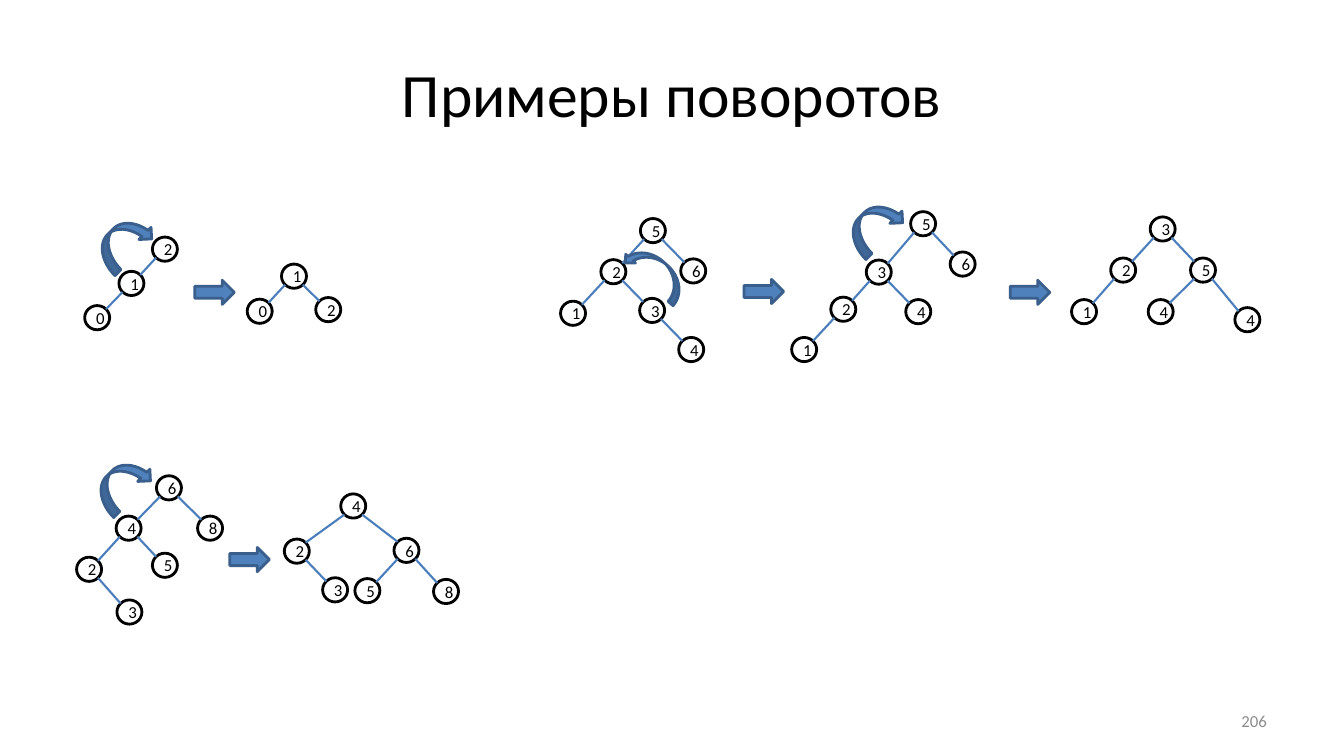
from pptx import Presentation
from pptx.dml.color import RGBColor
from pptx.enum.shapes import MSO_CONNECTOR as Link, MSO_SHAPE as Preset
from pptx.enum.text import MSO_ANCHOR as Anchor, PP_ALIGN as Align
from pptx.oxml import parse_xml
from pptx.oxml.ns import nsdecls
from pptx.util import Inches, Pt

CELL = 0.4
NODE_W, NODE_H = 0.62, 0.6
DIAGONAL = 0.5 ** 0.5
RIGHT_TURN = (Preset.CURVED_DOWN_ARROW, 1.5, 0.85, 315)
LEFT_TURN = (Preset.CURVED_UP_ARROW, 1.75, 0.65, 222)
STEP = (Preset.RIGHT_ARROW, 0.98, 0.6, 0)

# Each tree: root place in its box, then (key, column, row, parent index) from the root.
SINGLE_TURN = {
    "box": (2, 5),
    "trees": [
        ((1.78, 0.88), [(2, 0, 0, None), (1, -0.83, 0.85, 0), (0, -1.68, 1.7, 1)]),
        ((4.98, 1.55), [(1, 0, 0, None), (0, -0.85, 0.87, 0), (2, 0.85, 0.83, 0)]),
    ],
    "arrows": [(STEP, 2.83, 1.95), (RIGHT_TURN, 0.33, 0.58)],
}
SUBTREE_TURN = {
    "box": (2, 11),
    "trees": [
        ((1.88, 0.8), [(6, 0, 0, None), (4, -1, 1, 0), (8, 1.02, 1, 0),
                       (2, -1.98, 2.02, 1), (5, -0.1, 1.92, 1), (3, -0.98, 3.08, 3)]),
        ((6.45, 1.25), [(4, 0, 0, None), (2, -1.4, 1.12, 0), (6, 1.32, 1.1, 0),
                        (3, -0.45, 2.08, 1), (5, 0.35, 2.1, 2), (8, 2.3, 2.12, 2)]),
    ],
    "arrows": [(STEP, 3.7, 2.58), (RIGHT_TURN, 0.3, 0.58)],
}
DOUBLE_TURN = {
    "box": (14, 5),
    "trees": [
        ((1.88, 0.42), [(5, 0, 0, None), (2, -0.98, 1.02, 0), (6, 1, 1, 0),
                        (1, -1.98, 2.05, 1), (3, -0.02, 1.98, 1), (4, 0.95, 2.95, 4)]),
        ((8.58, 0.25), [(5, 0, 0, None), (3, -1.1, 1.2, 0), (6, 0.98, 1, 0),
                        (2, -1.98, 2.12, 1), (4, -0.12, 2.18, 1), (1, -2.95, 3.12, 3)]),
        ((14.52, 0.38), [(3, 0, 0, None), (2, -0.98, 1.02, 0), (5, 1, 1.02, 0),
                         (1, -1.95, 2.05, 1), (4, -0.05, 2.05, 2), (4, 2.1, 2.25, 2)]),
    ],
    "arrows": [(LEFT_TURN, 1.38, 1.43), (RIGHT_TURN, 6.95, 0.18),
               (STEP, 4.45, 1.93), (STEP, 11.05, 1.95)],
}


def color(value):
    """Turn a hex string into a colour."""
    return RGBColor.from_string(value)


def cells(*counts):
    """Turn counts of grid cells into lengths."""
    return [Inches(count * CELL) for count in counts]


def write(frame, text, size=12, ink="000000", align=Align.CENTER):
    """Put one formatted paragraph into a text frame."""
    frame.vertical_anchor = Anchor.MIDDLE
    paragraph = frame.paragraphs[0]
    paragraph.text = text
    paragraph.alignment = align
    paragraph.font.size = Pt(size)
    paragraph.font.name = "Calibri"
    paragraph.font.color.rgb = color(ink)


def outline(part, ink, width):
    """Set the colour and width of a line."""
    part.line.color.rgb = color(ink)
    part.line.width = Pt(width)


def draw_node(shapes, key, left, top):
    """Draw a circled key."""
    node = shapes.add_shape(Preset.OVAL, *cells(left, top, NODE_W, NODE_H))
    node.shadow.inherit = False
    node.fill.background()
    outline(node, "000000", 2)
    write(node.text_frame, str(key))


def draw_edge(shapes, parent, child):
    """Join the facing diagonal points of a parent and a child node."""
    side = 1 if child[0] > parent[0] else -1
    reach_x, reach_y = side * NODE_W / 2 * DIAGONAL, NODE_H / 2 * DIAGONAL
    mid_x, mid_y = NODE_W / 2, NODE_H / 2
    edge = shapes.add_connector(Link.STRAIGHT, *cells(
        parent[0] + mid_x + reach_x, parent[1] + mid_y + reach_y,
        child[0] + mid_x - reach_x, child[1] + mid_y - reach_y))
    outline(edge, "4B7EBC", 1.5)
    edge._element.spPr.append(parse_xml(f"<a:effectLst {nsdecls('a')}/>"))


def draw_tree(shapes, left, top, nodes):
    """Draw a binary tree whose root stands at the given cell."""
    places = [(left + column, top + row) for _, column, row, _ in nodes]
    for (key, _, _, parent), place in zip(nodes, places):
        draw_node(shapes, key, *place)
        if parent is not None:
            draw_edge(shapes, places[parent], place)


def draw_arrow(shapes, kind, left, top):
    """Draw a block arrow of the given kind."""
    preset, width, height, angle = kind
    arrow = shapes.add_shape(preset, *cells(left, top, width, height))
    arrow.rotation = angle
    arrow.shadow.inherit = False
    arrow.fill.solid()
    arrow.fill.fore_color.rgb = color("4F81BD")
    outline(arrow, "3A5F8C", 2)


def draw_example(slide, box, trees, arrows):
    """Draw one rotation example inside its box as a group."""
    shapes = slide.shapes.add_group_shape().shapes
    left, top = box
    for (column, row), nodes in trees:
        draw_tree(shapes, left + column, top + row, nodes)
    for kind, column, row in arrows:
        draw_arrow(shapes, kind, left + column, top + row)


def place_title(slide, deck):
    """Place the slide title across the top."""
    title = slide.shapes.title
    title.left, title.top = int(deck.slide_width * 0.05), int(deck.slide_height * 0.04)
    title.width, title.height = int(deck.slide_width * 0.9), Inches(1.25)
    write(title.text_frame, "Примеры поворотов", size=44)


def place_number(slide, deck):
    """Place the slide number in the bottom right corner."""
    width, height = Inches(3.11), Inches(0.4)
    number = slide.shapes.add_textbox(
        int(deck.slide_width * 0.95) - width, Inches(6.95), width, height)
    number.text_frame.word_wrap = True
    write(number.text_frame, "206", ink="8C8C8C", align=Align.RIGHT)


def main():
    """Build and save the slide."""
    deck = Presentation()
    deck.slide_width, deck.slide_height = Inches(13.33), Inches(7.5)
    slide = deck.slides.add_slide(deck.slide_layouts[5])
    place_title(slide, deck)
    for example in (SINGLE_TURN, SUBTREE_TURN, DOUBLE_TURN):
        draw_example(slide, **example)
    place_number(slide, deck)
    deck.save("out.pptx")


if __name__ == "__main__":
    main()
